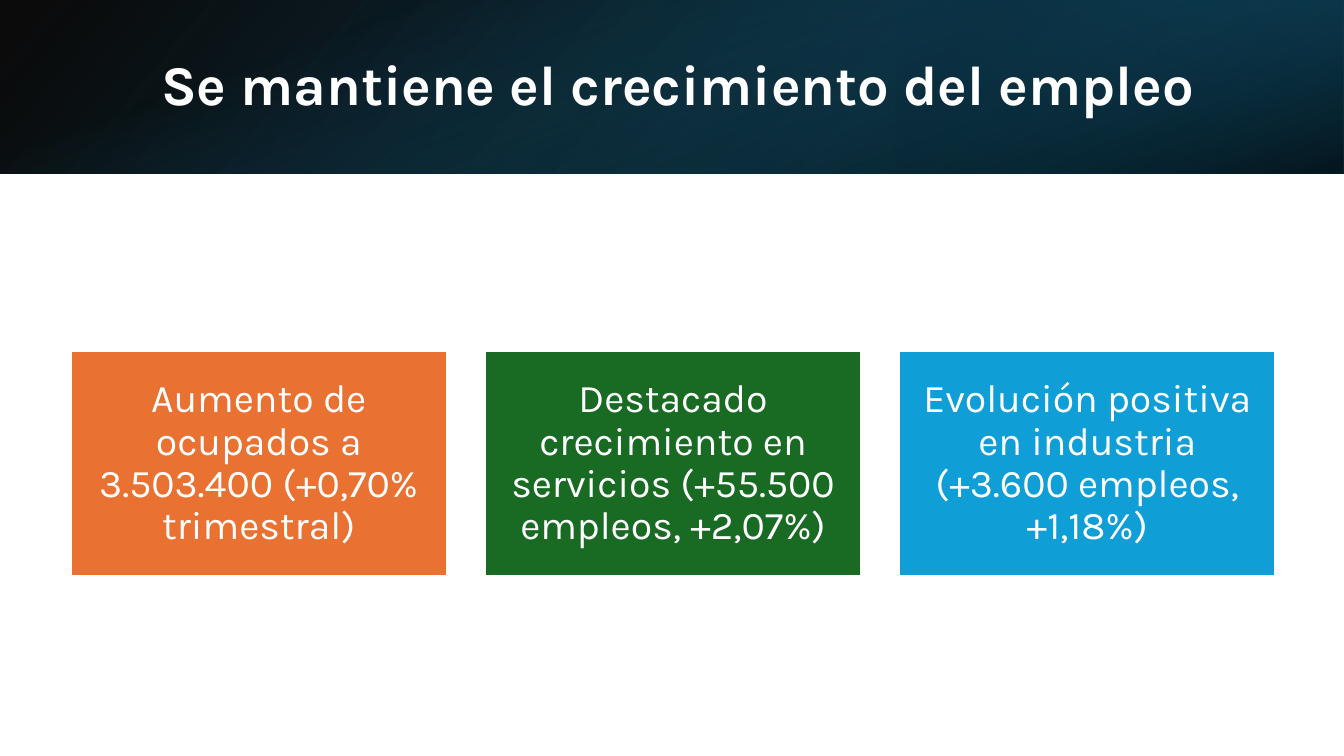
from lxml.etree import SubElement
from pptx import Presentation
from pptx.dml.color import RGBColor
from pptx.enum.shapes import MSO_SHAPE as Preset
from pptx.enum.text import MSO_ANCHOR as Anchor, PP_ALIGN as Align
from pptx.oxml.ns import qn
from pptx.util import Cm, Pt

TITLE = "Se mantiene el crecimiento del empleo"
CARDS = [
    ("Aumento de ocupados a 3.503.400 (+0,70% trimestral)", "E97132"),
    ("Destacado crecimiento en servicios (+55.500 empleos, +2,07%)", "196B24"),
    ("Evolución positiva en industria (+3.600 empleos, +1,18%)", "0F9ED5"),
]
PAGE_WIDTH, PAGE_HEIGHT, BANNER_HEIGHT = 33.87, 19.05, 4.37
THIRD = PAGE_WIDTH / 3
LAYERS = [
    {"box": (0, 0, PAGE_WIDTH, BANNER_HEIGHT), "turn": 0, "flip": True,
     "stops": [(0, "000000", 96), (100, "104862", 100)], "angle": 140},
    {"box": (2 * THIRD, 0, THIRD, BANNER_HEIGHT), "turn": 180, "flip": True,
     "stops": [(19, "0B3041", 68), (100, "156082", 79)], "angle": 320},
    {"box": ((PAGE_WIDTH - BANNER_HEIGHT) / 2, (BANNER_HEIGHT - PAGE_WIDTH) / 2,
             BANNER_HEIGHT, PAGE_WIDTH), "turn": 90, "flip": False,
     "stops": [(23, "156082", 0), (99, "000000", 74)], "angle": 340},
]
TITLE_BOX = (3.81, 0.97, 27.89, 2.44)
CARD_LEFT, CARD_TOP, CARD_WIDTH, CARD_HEIGHT, CARD_PITCH = 1.78, 8.84, 9.48, 5.69, 10.44
CARD_INSET = Cm(0.3)
FRAME_FORMAT = {"word_wrap": True, "vertical_anchor": Anchor.MIDDLE}
CARD_MARGINS = {f"margin_{side}": CARD_INSET for side in ("left", "right", "top", "bottom")}


def color(value):
    return RGBColor.from_string(value)


def apply(target, values):
    for name, value in values.items():
        setattr(target, name, value)


def add_rectangle(page, box):
    shape = page.shapes.add_shape(Preset.RECTANGLE, *map(Cm, box))
    shape.shadow.inherit = False
    return shape


def add_layer(page, box, turn, flip, stops, angle):
    shape = add_rectangle(page, box)
    shape.rotation = turn
    shape.line.fill.background()
    shape.fill.gradient()
    properties = shape.element.spPr
    if flip:
        properties.find(qn("a:xfrm")).set("flipH", "1")
    gradient = properties.find(qn("a:gradFill"))
    for child in list(gradient):
        gradient.remove(child)
    stop_list = SubElement(gradient, qn("a:gsLst"))
    for position, value, opacity in stops:
        stop = SubElement(stop_list, qn("a:gs"), pos=str(position * 1000))
        tone = SubElement(stop, qn("a:srgbClr"), val=value)
        SubElement(tone, qn("a:alpha"), val=str(opacity * 1000))
    SubElement(gradient, qn("a:lin"), ang=str(angle * 60000), scaled="0")


def write(shape, text, size, bold, alignment):
    frame = shape.text_frame
    apply(frame, FRAME_FORMAT)
    para = frame.paragraphs[0]
    apply(para, {"alignment": alignment, "line_spacing": 0.9})
    span = para.add_run()
    span.text = text
    apply(span.font, {"name": "Karla", "size": Pt(size), "bold": bold})
    span.font.color.rgb = color("FFFFFF")


def add_card(page, index, text, fill):
    left = CARD_LEFT + index * CARD_PITCH
    card = add_rectangle(page, (left, CARD_TOP, CARD_WIDTH, CARD_HEIGHT))
    card.fill.solid()
    card.fill.fore_color.rgb = color(fill)
    card.line.color.rgb = color("FFFFFF")
    card.line.width = Pt(1.5)
    apply(card.text_frame, CARD_MARGINS)
    write(card, text, 28, False, Align.CENTER)


def main():
    deck = Presentation()
    apply(deck, {"slide_width": Cm(PAGE_WIDTH), "slide_height": Cm(PAGE_HEIGHT)})
    page = deck.slides.add_slide(deck.slide_layouts[6])
    for layer in LAYERS:
        add_layer(page, **layer)
    title = page.shapes.add_textbox(*map(Cm, TITLE_BOX))
    write(title, TITLE, 40, True, Align.LEFT)
    for index, (text, fill) in enumerate(CARDS):
        add_card(page, index, text, fill)
    deck.save("out.pptx")


if __name__ == "__main__":
    main()
